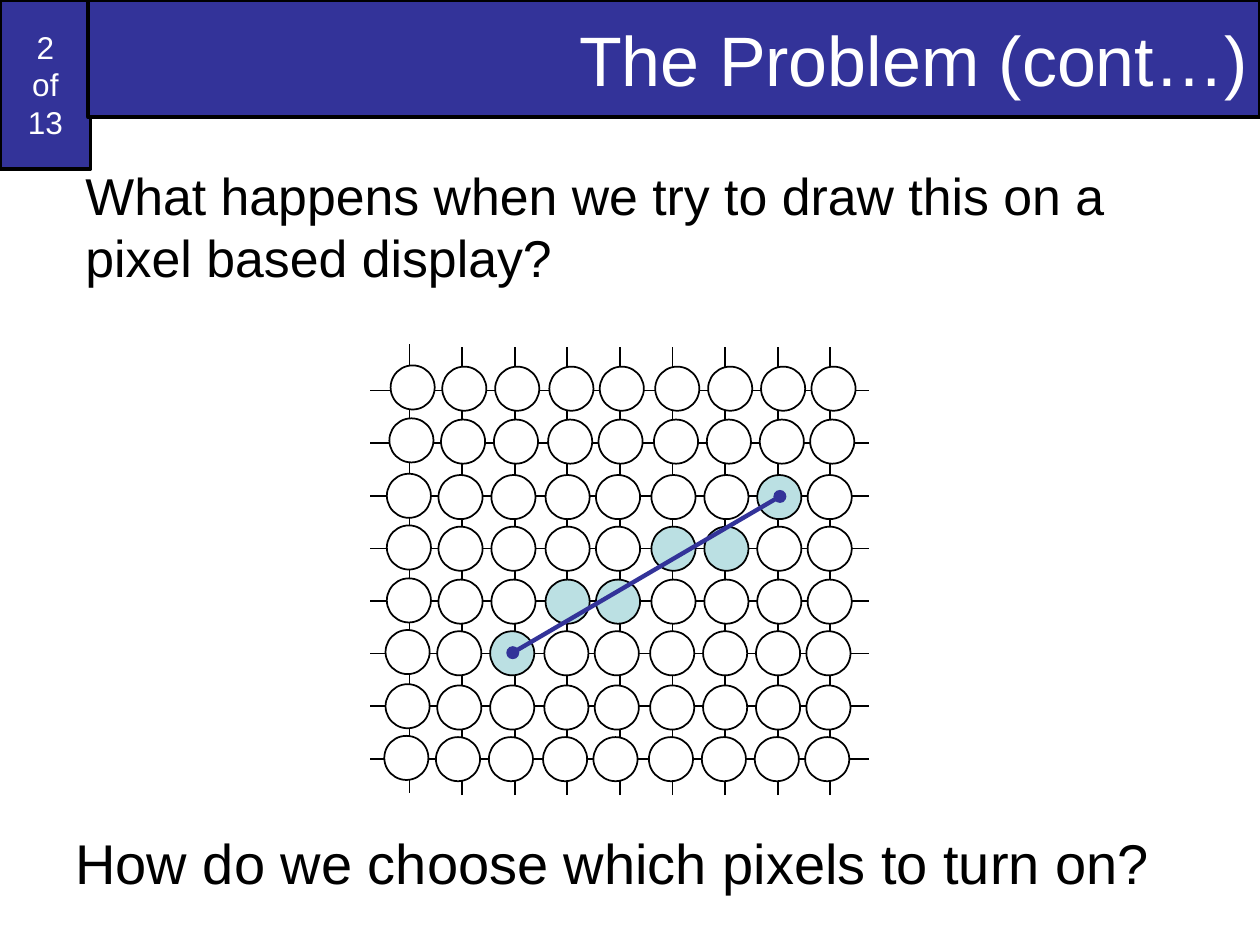
from dataclasses import dataclass

from lxml import etree
from pptx import Presentation
from pptx.dml.color import RGBColor
from pptx.enum.shapes import MSO_CONNECTOR, MSO_SHAPE
from pptx.enum.text import MSO_ANCHOR, PP_ALIGN
from pptx.oxml.ns import qn
from pptx.util import Pt

RECT, OVAL = MSO_SHAPE.RECTANGLE, MSO_SHAPE.OVAL
LINE = MSO_CONNECTOR.STRAIGHT
LEFT, MID, RIGHT = PP_ALIGN.LEFT, PP_ALIGN.CENTER, PP_ALIGN.RIGHT
TOP, CENTER = MSO_ANCHOR.TOP, MSO_ANCHOR.MIDDLE
SCALE = 9144  # EMU per px, 100 px to the inch


@dataclass(frozen=True)
class Theme:
    font: str = "Arial"
    blue: str = "333399"
    lit: str = "BBE0E3"
    white: str = "FFFFFF"
    black: str = "000000"
    title: float = 40
    ask: float = 32
    body: float = 29.6
    count: float = 18
    frame: float = 2
    thin: float = 1
    thick: float = 2.5


THEME = Theme()

# Pixel grid, relative to its box: the circles sit by hand on an even mesh
STEP = 41.75
SIZE = 35
COLS = (16, 57, 99, 142, 182, 226, 268, 310, 350)
ROWS = (18, 60, 104, 145, 187, 228, 271, 312)
DRIFT = (0, 1, 3, 3, 3, 4, 4, 5)  # how far each row slips to the left
LIT = {(7, 2), (5, 3), (6, 3), (3, 4), (4, 4), (2, 5)}


def emu(*px):
    return [round(n * SCALE) for n in px]


def color(code):
    return RGBColor.from_string(code)


def add_shape(slide, kind, box, fill, width):
    shape = slide.shapes.add_shape(kind, *emu(*box))
    shape.shadow.inherit = False
    shape.fill.solid()
    shape.fill.fore_color.rgb = color(fill)
    shape.line.color.rgb = color(THEME.black)
    shape.line.width = Pt(width)
    return shape


def add_line(slide, start, end, tint, width):
    line = slide.shapes.add_connector(LINE, *emu(*start, *end))
    line.line.color.rgb = color(tint)
    line.line.width = Pt(width)
    etree.SubElement(line._element.spPr, qn("a:effectLst"))
    return line


def set_text(shape, text, size, tint, align=LEFT, anchor=TOP, before=0):
    frame = shape.text_frame
    frame.word_wrap = True
    frame.vertical_anchor = anchor
    frame.text = text
    para = frame.paragraphs[0]
    para.alignment = align
    para.space_before = Pt(before)
    for run in para.runs:
        run.font.name = THEME.font
        run.font.size = Pt(size)
        run.font.color.rgb = color(tint)


def add_banner(slide, box):
    """Slide counter at the left, title bar over the rest."""
    x, y, w, h = box
    count = add_shape(slide, RECT, (x, y, 72, h), THEME.blue, THEME.frame)
    set_text(count, "2\vof\v13", THEME.count, THEME.white, MID, CENTER, 11.2)
    title = add_shape(slide, RECT, (x + 70, y, w - 70, 93), THEME.blue, THEME.frame)
    set_text(title, "The Problem (cont…)", THEME.title, THEME.white, RIGHT, CENTER)


def add_note(slide, box, text, size):
    note = slide.shapes.add_textbox(*emu(*box))
    set_text(note, text, size, THEME.black, before=8)


def add_mesh(slide, box):
    x, y, w, h = box
    for col in range(len(COLS)):
        across = x + 31 + col * STEP
        lift = 0 if col else 2
        add_line(slide, (across, y + h - lift), (across, y - lift),
                 THEME.black, THEME.thin)
    for row in range(len(ROWS)):
        down = y + 35 + row * STEP
        add_line(slide, (x, down), (x + w, down), THEME.black, THEME.thin)


def add_dots(slide, box):
    x, y = box[:2]
    for row, (top, drift) in enumerate(zip(ROWS, DRIFT)):
        for col, left in enumerate(COLS):
            lift = 0 if col else 1
            spot = (x + left - drift, y + top - 2 - lift, SIZE, SIZE)
            fill = THEME.lit if (col, row) in LIT else THEME.white
            add_shape(slide, OVAL, spot, fill, THEME.thin)


def add_grid(slide, box):
    """Display pixels with the ideal line drawn over them."""
    x, y = box[:2]
    add_mesh(slide, box)
    add_dots(slide, box)
    line = add_line(slide, (x + 113, y + 243), (x + 325, y + 119),
                    THEME.blue, THEME.thick)
    pen = line.line._get_or_add_ln()
    for end in ("a:headEnd", "a:tailEnd"):
        etree.SubElement(pen, qn(end), type="oval")


def main():
    deck = Presentation()
    deck.slide_width, deck.slide_height = emu(1000, 750)
    slide = deck.slides.add_slide(deck.slide_layouts[6])
    add_banner(slide, (0, 0, 1000, 134))
    add_note(slide, (58, 125, 900, 117),
             "What happens when we try to draw this on a pixel based display?",
             THEME.body)
    add_grid(slide, (294, 275, 396, 356))
    add_note(slide, (50, 653, 925, 76),
             "How do we choose which pixels to turn on?", THEME.ask)
    deck.save("out.pptx")


if __name__ == "__main__":
    main()
